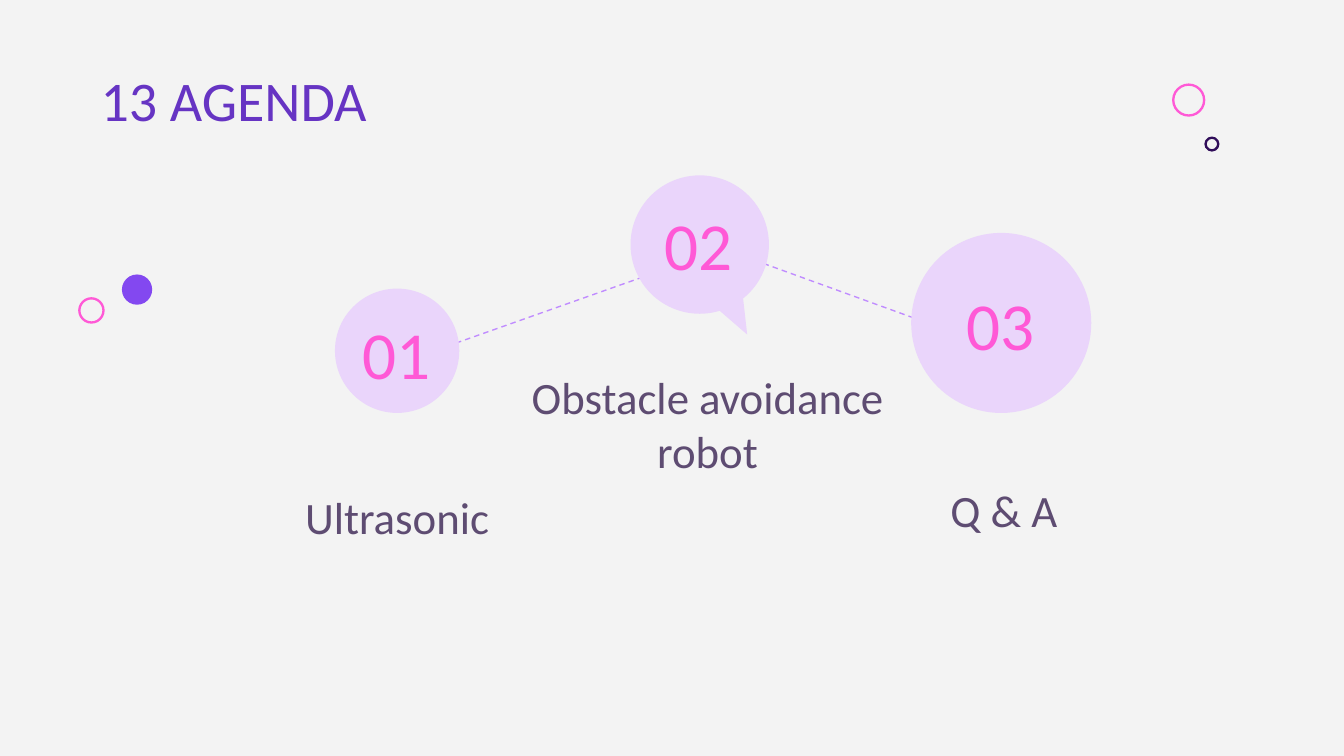
from dataclasses import dataclass

from lxml import etree
from pptx import Presentation
from pptx import util as u
from pptx.dml.color import RGBColor
from pptx.enum import dml, shapes, text


@dataclass(frozen=True)
class Theme:
    font: str = "Calibri"
    paper: str = "F3F3F3"
    title: str = "6634C3"
    label: str = "5E4C72"
    pink: str = "FF59D6"
    violet: str = "8348F0"
    dark: str = "300D59"
    bubble: str = "EAD5FB"
    link: str = "C08CFF"
    title_size: int = 30
    label_size: int = 24
    number_size: int = 36


theme = Theme()
rgb = RGBColor.from_string

# Widescreen 16:9 page
deck = Presentation()
deck.slide_width = u.Inches(10)
deck.slide_height = deck.slide_width * 9 // 16
page = deck.slides.add_slide(deck.slide_layouts[6])
page.background.fill.solid()
page.background.fill.fore_color.rgb = rgb(theme.paper)

# Square grid: 100 columns across the slide, rows of the same size
CELL = deck.slide_width / 100


def grid(*cells):
    return [round(cell * CELL) for cell in cells]


def add_text(words, *, at, size, color, align=text.PP_ALIGN.CENTER,
             anchor=text.MSO_ANCHOR.MIDDLE):
    box = page.shapes.add_textbox(*grid(*at))
    frame = box.text_frame
    frame.word_wrap = True
    frame.vertical_anchor = anchor
    frame.margin_left = frame.margin_right = u.Inches(0.1)
    frame.margin_top = frame.margin_bottom = u.Inches(0.1)
    para = frame.paragraphs[0]
    para.alignment = align
    span = para.add_run()
    span.text = words
    span.font.name, span.font.size = theme.font, u.Pt(size)
    span.font.color.rgb = rgb(color)


# Decorative dots and rings: centre x, centre y, diameter, colour, filled
decorations = [
    (88.45, 7.45, 2.3, theme.pink, False),
    (90.17, 10.72, 0.95, theme.dark, False),
    (10.2, 21.55, 2.25, theme.violet, True),
    (6.8, 23.1, 1.8, theme.pink, False),
]
for x, y, size, color, filled in decorations:
    dot = page.shapes.add_shape(
        shapes.MSO_SHAPE.OVAL, *grid(x - size / 2, y - size / 2, size, size))
    dot.shadow.inherit = False
    if filled:
        dot.fill.solid()
        dot.fill.fore_color.rgb = rgb(color)
        dot.line.fill.background()
    else:
        dot.fill.background()
        dot.line.color.rgb = rgb(color)
        dot.line.width = u.Pt(1.25)

# Dashed links running behind the bubbles
for ends in [(52.1, 17.9, 73.9, 25.8), (29.2, 27.2, 52.4, 19)]:
    link = page.shapes.add_connector(shapes.MSO_CONNECTOR.STRAIGHT, *grid(*ends))
    link.line.color.rgb = rgb(theme.link)
    link.line.width = u.Pt(0.75)
    link.line.dash_style = dml.MSO_LINE.DASH
    etree.SubElement(
        link._element.spPr,
        "{http://schemas.openxmlformats.org/drawingml/2006/main}effectLst")

# Slide title
add_text("13 AGENDA", at=(6.5, 3.9, 73.6, 7.1), size=theme.title_size,
         color=theme.title, align=text.PP_ALIGN.LEFT, anchor=text.MSO_ANCHOR.TOP)

# Agenda steps: bubble centre and diameter, number box, label and its box
OVAL, CALLOUT = shapes.MSO_SHAPE.OVAL, shapes.MSO_SHAPE.OVAL_CALLOUT
steps = [
    (OVAL, (29.55, 26.1, 9.25), (25.55, 23.1, 7.9, 6.3),
     "Ultrasonic", (15.5, 32.15, 28.1, 9.3)),
    (CALLOUT, (52.07, 18.2, 10.3), (44.75, 15, 14.5, 6.3),
     "Obstacle avoidance robot", (37.5, 29.43, 30.3, 7.1)),
    (OVAL, (74.5, 24.03, 13.4), (67.85, 20.95, 13.2, 6.3),
     "Q & A", (59.2, 31.3, 31, 9.6)),
]
TAIL_TIP = (55.6, 24.9)
for number, (kind, (x, y, size), number_at, label, label_at) in enumerate(steps, 1):
    bubble = page.shapes.add_shape(
        kind, *grid(x - size / 2, y - size / 2, size, size))
    bubble.shadow.inherit = False
    bubble.fill.solid()
    bubble.fill.fore_color.rgb = rgb(theme.bubble)
    bubble.line.fill.background()
    if kind == CALLOUT:
        # The tail tip is set as an offset from the centre, in diameters
        bubble.adjustments[0] = (TAIL_TIP[0] - x) / size
        bubble.adjustments[1] = (TAIL_TIP[1] - y) / size
    add_text(f"{number:02}", at=number_at, size=theme.number_size, color=theme.pink)
    add_text(label, at=label_at, size=theme.label_size, color=theme.label,
             anchor=text.MSO_ANCHOR.BOTTOM)

deck.save("out.pptx")
